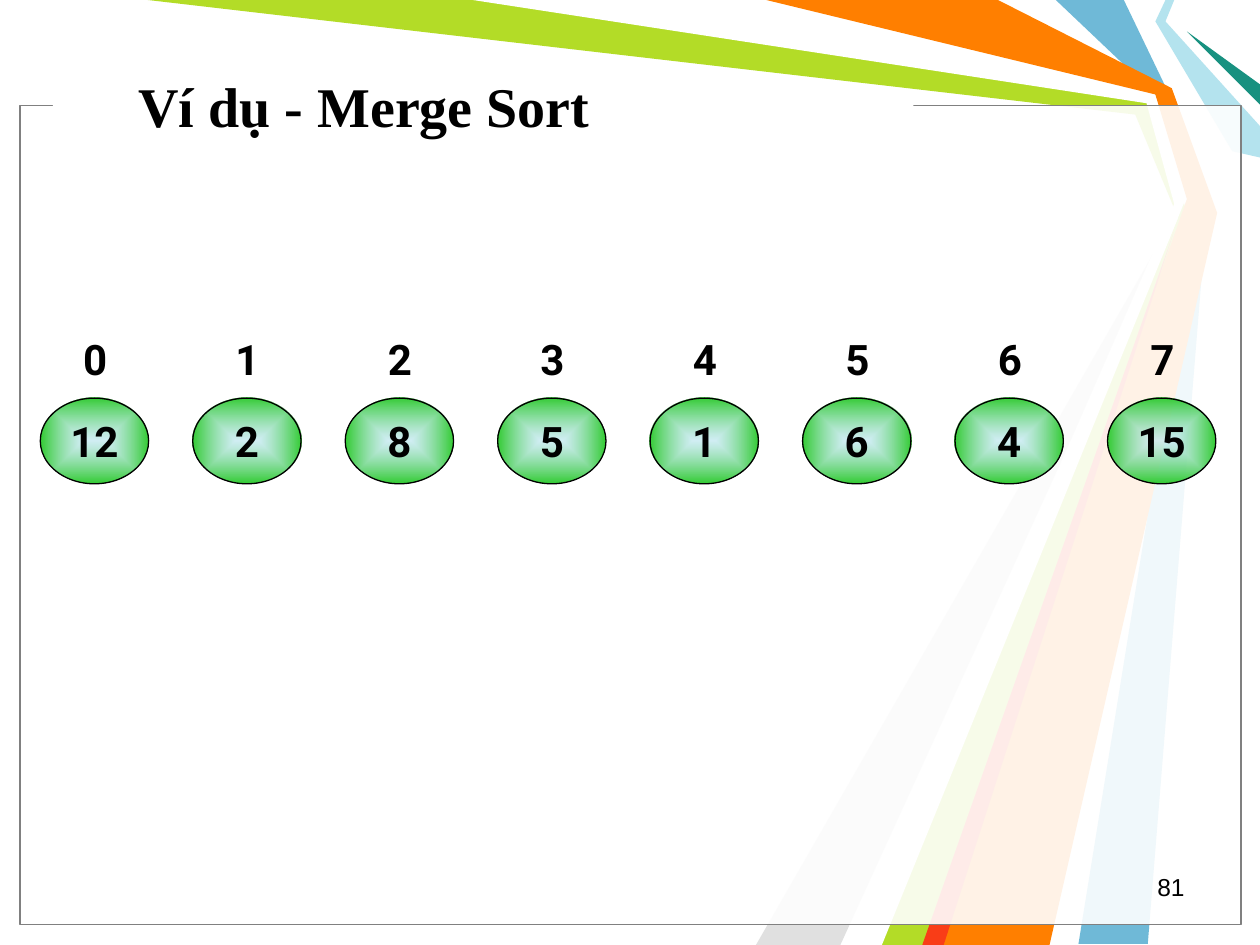
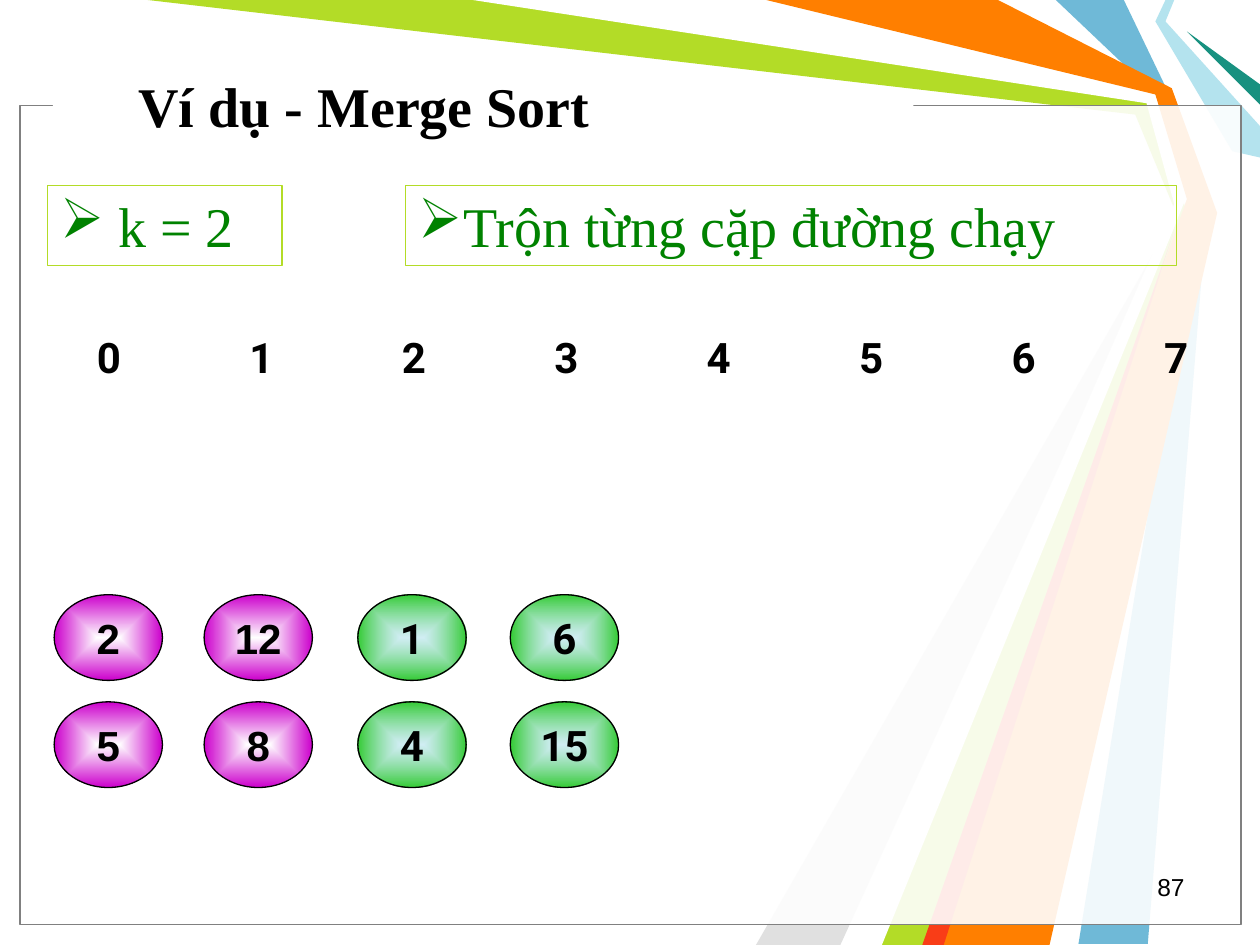
import pptx
import pptx.util
import pptx.oxml
import pptx.oxml.ns
import pptx.dml.color
import pptx.enum.shapes
import pptx.enum.text
from dataclasses import dataclass

Inches = pptx.util.Inches
Kind = pptx.enum.shapes.MSO_SHAPE
Align = pptx.enum.text.PP_ALIGN
Anchor = pptx.enum.text.MSO_ANCHOR


@dataclass(frozen=True)
class Theme:
    black: str = "000000"
    white: str = "FFFFFF"
    lime: str = "B3DC27"
    blue: str = "6FB9D7"
    pale: str = "B4E3EE"
    teal: str = "189180"
    gray: str = "E0E0E0"
    frame: str = "808080"
    orange: str = "FF7F00"
    red: str = "F93D17"
    green: str = "33CC33"
    pink: str = "CC00CC"
    note: str = "008200"
    serif: str = "Times New Roman"
    sans: str = "Arial"
    digit: str = "Roboto"
    big: int = 32
    mid: int = 24
    small: int = 14
    thin: float = 0.75


T = Theme()

# Content
TITLE = "Ví dụ - Merge Sort"
GREEN = dict(core=T.pale, alpha=60, rim=T.green, font=T.digit)
PINK = dict(core=T.white, alpha=100, rim=T.pink, font=T.sans)
SLIDES = [
    dict(
        page="81", index=(0.32, 2.52), notes=[],
        balls=[(0.32 + 1.21 * i, 3.16, n, GREEN)
               for i, n in enumerate([12, 2, 8, 5, 1, 6, 4, 15])],
    ),
    dict(
        page="87", index=(0.43, 2.5),
        # left, width, text, indent
        notes=[(0.38, 1.86, "k = 2", 0.46),
               (3.22, 6.12, "Trộn từng cặp đường chạy", 0.36)],
        balls=[(left, top, n, look)
               for left, pair, look in [(0.43, (2, 5), PINK), (1.62, (12, 8), PINK),
                                        (2.84, (1, 4), GREEN), (4.05, (6, 15), GREEN)]
               for top, n in zip((4.72, 5.57), pair)],
    ),
]
COUNT, STEP = 8, 1.21
BALL = (0.86, 0.68)

# Ribbons behind every slide, back to front
RIBBONS = [
    (T.blue, [(8.92, 0), (9.29, 0.77), (9.58, 1.67), (9.11, 7.49), (8.56, 7.49),
              (9.5, 1.67), (9.17, 0.75), (8.38, 0)]),
    (T.lime, [(1.17, 0), (3.83, 0), (9.14, 0.78), (9.42, 1.69), (7.42, 7.5),
              (6.92, 7.5), (9.35, 1.73), (9.01, 0.91)]),
    (T.gray, [(6.67, 7.5), (9.27, 1.81), (6, 7.5)]),
    (T.white, [(3.75, 0), (9.1, 0.82), (9.32, 1.62), (6.75, 7.5), (7, 7.5),
               (9.41, 1.58), (9.17, 0.75), (6, 0)]),
    (T.pale, [(9.25, 0), (9.17, 0.17), (9.78, 1.2), (10, 1.25), (10, 1),
              (9.25, 0.17), (9.32, 0)]),
    (T.teal, [(10, 0.83), (9.42, 0.25), (10, 0.67)]),
    (T.orange, [(6.08, 0), (7.92, 0), (9.3, 0.7), (9.66, 1.69), (8.33, 7.5),
                (7.33, 7.5), (9.42, 1.58), (9.17, 0.75)]),
    (T.red, [(7.32, 7.5), (9.32, 1.83), (7.49, 7.5)]),
]


def color(code):
    return pptx.dml.color.RGBColor.from_string(code)


def paint(shape, fill=None, line=None, alpha=100):
    """Set fill and line, and drop the shadow."""
    shape.shadow.inherit = False
    if fill:
        shape.fill.solid()
        shape.fill.fore_color.rgb = color(fill)
        if alpha < 100:
            tone = shape.fill._xPr.find(".//" + pptx.oxml.ns.qn("a:srgbClr"))
            pptx.oxml.ns.qn("a:alpha")
            tone.append(xml(f'<a:alpha {{ns}} val="{alpha * 1000}"/>'))
    else:
        shape.fill.background()
    if line:
        shape.line.color.rgb = color(line)
        shape.line.width = pptx.util.Pt(T.thin)
    else:
        shape.line.fill.background()


def xml(text):
    return pptx.oxml.parse_xml(text.replace("{ns}", pptx.oxml.ns.nsdecls("a")))


def glow(shape, core, alpha, rim):
    """Fill from a light core out to the rim."""
    old = shape.fill._xPr.find(pptx.oxml.ns.qn("a:solidFill"))
    new = xml(
        '<a:gradFill {ns} rotWithShape="1"><a:gsLst>'
        f'<a:gs pos="0"><a:srgbClr val="{core}"><a:alpha val="{alpha * 1000}"/></a:srgbClr></a:gs>'
        f'<a:gs pos="100000"><a:srgbClr val="{rim}"/></a:gs></a:gsLst>'
        '<a:path path="shape"><a:fillToRect l="50000" t="50000" r="50000" b="50000"/></a:path>'
        '</a:gradFill>')
    old.getparent().replace(old, new)


def write(shape, text, size=T.mid, font=T.digit, ink=T.black, bold=False,
          align=Align.CENTER, anchor=Anchor.MIDDLE, pad=0.1, wrap=True, indent=0):
    """Put one formatted paragraph in a shape; an indent adds an arrow bullet."""
    frame = shape.text_frame
    frame.word_wrap = wrap
    frame.vertical_anchor = anchor
    frame.margin_left = frame.margin_right = Inches(pad)
    frame.margin_top = frame.margin_bottom = Inches(pad / 2)
    para = frame.paragraphs[0]
    para.alignment = align
    if indent:
        props = para._p.get_or_add_pPr()
        props.set("marL", str(Inches(indent)))
        props.set("indent", str(-Inches(indent)))
        props.append(xml('<a:buChar {ns} char="➢"/>'))
    run = para.add_run()
    run.text = text
    run.font.size = pptx.util.Pt(size)
    run.font.name = font
    run.font.bold = bold
    run.font.color.rgb = color(ink)


def place(slide, kind, *box):
    return slide.shapes.add_shape(kind, *map(Inches, box))


def label(slide, text, *box, **form):
    write(slide.shapes.add_textbox(*map(Inches, box)), text, **form)


def base(slide, page):
    """Ribbons, frame, title and page number."""
    for fill, points in RIBBONS:
        dots = [(Inches(x), Inches(y)) for x, y in points]
        pen = slide.shapes.build_freeform(*dots[0])
        pen.add_line_segments(dots[1:], close=True)
        paint(pen.convert_to_shape(), fill)
    paint(place(slide, Kind.RECTANGLE, 0.16, 0.84, 9.69, 6.5), T.white, T.frame, 90)
    paint(place(slide, Kind.RECTANGLE, 0.42, 0.74, 6.83, 0.17), T.white)
    label(slide, TITLE, 1, 0.42, 6.89, 0.83, size=T.big, font=T.serif,
          bold=True, align=Align.LEFT)
    label(slide, page, 7.17, 6.87, 2.33, 0.33, size=T.small, font=T.sans,
          align=Align.RIGHT, anchor=Anchor.TOP)


def build(slide, data):
    base(slide, data["page"])
    # Array positions
    left, top = data["index"]
    for i in range(COUNT):
        label(slide, str(i), left + i * STEP, top, 0.87, 0.66, bold=True, pad=0)
    # Array values
    for x, y, value, look in data["balls"]:
        ball = place(slide, Kind.OVAL, x, y, *BALL)
        paint(ball, look["rim"], T.black)
        glow(ball, look["core"], look["alpha"], look["rim"])
        write(ball, str(value), font=look["font"], bold=True, pad=0, wrap=False)
    # Step notes
    for x, width, text, indent in data["notes"]:
        note = place(slide, Kind.RECTANGLE, x, 1.47, width, 0.64)
        paint(note, line=T.lime)
        write(note, text, size=T.big, font=T.serif, ink=T.note,
              align=Align.LEFT, indent=indent)


def main():
    deck = pptx.Presentation()
    deck.slide_width, deck.slide_height = Inches(10), Inches(7.5)
    for data in SLIDES:
        build(deck.slides.add_slide(deck.slide_layouts[6]), data)
    deck.save("out.pptx")


if __name__ == "__main__":
    main()
